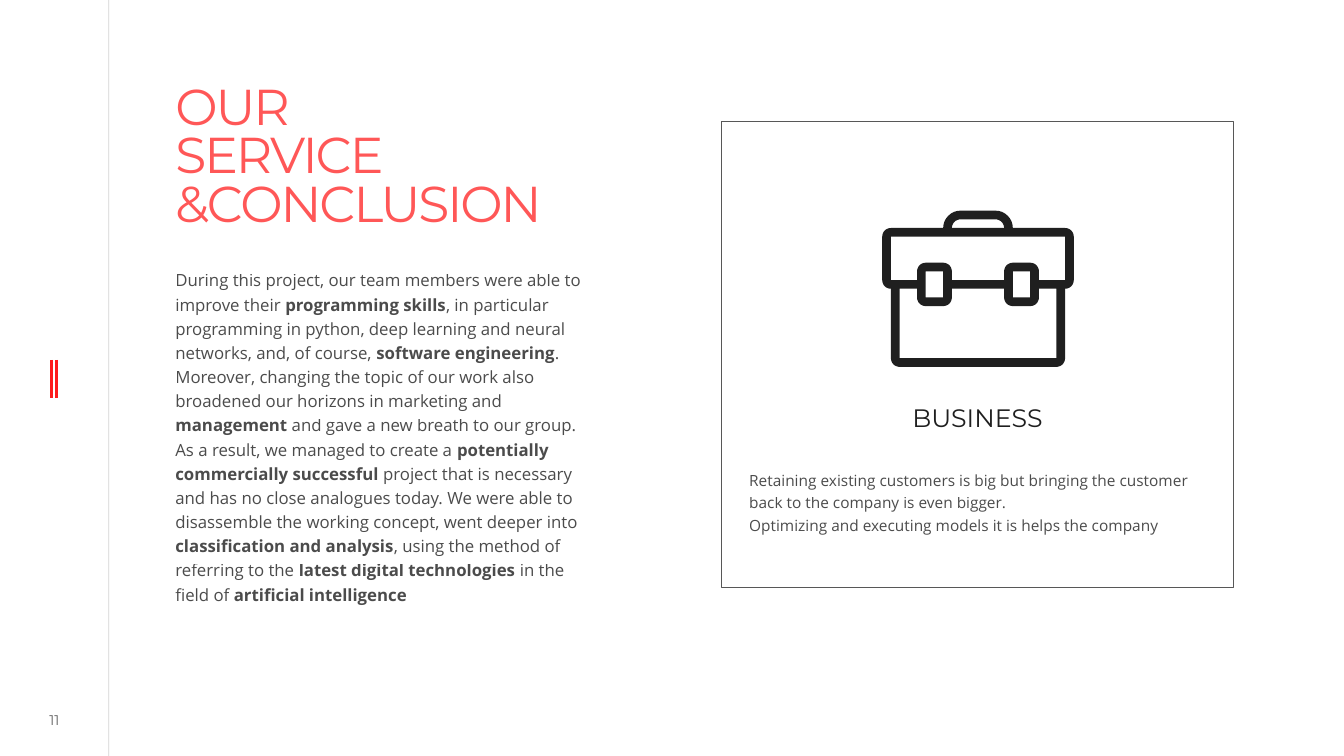
from dataclasses import dataclass
from math import cos, hypot, pi, sin
from typing import NamedTuple

from lxml.etree import SubElement
from pptx import Presentation
from pptx.dml.color import RGBColor
from pptx.enum.shapes import MSO_CONNECTOR, MSO_SHAPE
from pptx.enum.text import MSO_ANCHOR, PP_ALIGN
from pptx.oxml.ns import qn
from pptx.util import Inches, Pt


@dataclass(frozen=True)
class Theme:
    ink: str = "1F1F1F"
    coral: str = "FF5757"
    red: str = "FE1C1D"
    frame: str = "575757"
    head: str = "Montserrat"
    text: str = "Open Sans"
    title: int = 36
    label: int = 18
    body: int = 12
    small: int = 11
    page: int = 10
    hair: float = 0.5
    bar: int = 2


class Box(NamedTuple):
    x: float
    y: float
    w: float
    h: float

    def share(self, x, y, w, h):
        return Box(
            round(self.x + self.w * x / 100),
            round(self.y + self.h * y / 100),
            round(self.w * w / 100),
            round(self.h * h / 100),
        )


THEME = Theme()
TITLE = "OUR\vSERVICE &CONCLUSION"
STORY = [
    "During this project, our team members were able to improve their "
    "*programming skills*, in particular programming in python, deep learning "
    "and neural networks, and, of course, *software engineering*. Moreover, "
    "changing the topic of our work also broadened our horizons in marketing "
    "and *management* and gave a new breath to our group.",
    "As a result, we managed to create a *potentially commercially successful "
    "*project that is necessary and has no close analogues today. We were able "
    "to disassemble the working concept, went deeper into *classification and "
    "analysis*, using the method of referring to the *latest digital "
    "technologies *in the field of *artificial intelligence*",
]
PITCH = [
    "Retaining existing customers is big but bringing the customer back to "
    "the company is even bigger.",
    "Optimizing and executing models it is helps the company",
]
CASE = [
    [(7, 2), (7, 0, 2), (15, 0, 2), (15, 2), (22, 2, 1), (22, 9, 1), (21, 9),
     (21, 18, 1), (1, 18, 1), (1, 9), (0, 9, 1), (0, 2, 1)],
    [(8, 2), (8, 1, 1), (14, 1, 1), (14, 2)],
    [(1, 3), (21, 3), (21, 8), (18, 8), (18, 6, 1), (14, 6, 1), (14, 8),
     (8, 8), (8, 6, 1), (4, 6, 1), (4, 8), (1, 8)],
    [(2, 9), (4, 9), (4, 11, 1), (8, 11, 1), (8, 9), (14, 9), (14, 11, 1),
     (18, 11, 1), (18, 9), (20, 9), (20, 17), (2, 17)],
    [(5, 7), (7, 7), (7, 10), (5, 10)],
    [(15, 7), (17, 7), (17, 10), (15, 10)],
]


def paint(fill, color, alpha=100):
    fill.solid()
    fill.fore_color.rgb = RGBColor.from_string(color)
    if alpha < 100:
        tone = fill._xPr.find(qn("a:solidFill"))[0]
        SubElement(tone, qn("a:alpha"), val=str(alpha * 1000))


def write(slide, box, paras, font=THEME.text, size=THEME.body, color=THEME.ink,
          alpha=100, align=PP_ALIGN.LEFT, lead=1.0, track=0, top=0.05,
          base=0.05, anchor=MSO_ANCHOR.TOP):
    frame = slide.shapes.add_textbox(*box).text_frame
    frame.word_wrap = True
    frame.vertical_anchor = anchor
    frame.margin_left = frame.margin_right = 0
    frame.margin_top, frame.margin_bottom = Inches(top), Inches(base)
    for i, words in enumerate(paras):
        para = frame.add_paragraph() if i else frame.paragraphs[0]
        para.alignment, para.line_spacing = align, lead
        for j, row in enumerate(words.split("\v")):
            if j:
                para.add_line_break()
            for k, bit in enumerate(row.split("*")):
                if not bit:
                    continue
                run = para.add_run()
                run.text = bit
                run.font.name, run.font.size = font, Pt(size)
                run.font.bold = k % 2 == 1
                paint(run.font.fill, color, alpha)
                if track:
                    run.font._element.set("spc", str(round(track * 100)))


def rule(slide, box, color, width, alpha=100):
    line = slide.shapes.add_connector(
        MSO_CONNECTOR.STRAIGHT, box.x, box.y, box.x + box.w, box.y + box.h)
    line.line.width = Pt(width)
    paint(line.line.fill, color, alpha)
    SubElement(line._element.spPr, qn("a:effectLst"))


def trace(knots, steps=8):
    dots = []
    for i, (x, y, *bend) in enumerate(knots):
        if not bend:
            dots.append((x * 100, y * 100))
            continue
        r = bend[0]
        ways = []
        for near in (knots[i - 1], knots[(i + 1) % len(knots)]):
            dx, dy = near[0] - x, near[1] - y
            span = hypot(dx, dy)
            ways.append((dx / span, dy / span))
        (ax, ay), (bx, by) = ways
        for n in range(steps + 1):
            turn = n / steps * pi / 2
            a, b = r * (1 - sin(turn)), r * (1 - cos(turn))
            dots.append((round(100 * (x + a * ax + b * bx)),
                         round(100 * (y + a * ay + b * by))))
    return dots


def draw_case(slide, box):
    first, *rest = map(trace, CASE)
    pen = slide.shapes.build_freeform(
        *first[0], scale=(box.w / 2200, box.h / 1800))
    pen.add_line_segments(first[1:], close=True)
    for dots in rest:
        pen.move_to(*dots[0])
        pen.add_line_segments(dots[1:], close=True)
    case = pen.convert_to_shape(box.x, box.y)
    case.shadow.inherit = False
    paint(case.fill, THEME.ink)
    case.line.fill.background()


def draw_rail(slide, box):
    rule(slide, box.share(100, 0, 0, 100), THEME.ink, THEME.hair, 20)
    for x in (47.22, 51.85):
        rule(slide, box.share(x, 47.6, 0, 5.07), THEME.red, THEME.bar)
    write(slide, box.share(24.07, 93.6, 51.85, 3.33), ["11"], font=THEME.head,
          size=THEME.page, alpha=70, align=PP_ALIGN.CENTER, top=0, base=0,
          anchor=MSO_ANCHOR.MIDDLE)


def draw_story(slide, box):
    write(slide, box.share(0, 0, 100, 32.6), [TITLE], font=THEME.head,
          size=THEME.title, color=THEME.coral, lead=0.8, track=-1.5,
          top=0.21, base=0)
    write(slide, box.share(0, 35.73, 90.69, 64.27), STORY, alpha=80, lead=1.2)


def draw_card(slide, box):
    card = slide.shapes.add_shape(MSO_SHAPE.RECTANGLE, *box)
    card.shadow.inherit = False
    card.fill.background()
    card.line.width = Pt(THEME.hair)
    paint(card.line.fill, THEME.frame)
    draw_case(slide, box.share(31.5, 19.22, 37.4, 33.48))
    write(slide, box.share(5.71, 60.91, 88.78, 6.91), ["BUSINESS"],
          font=THEME.head, size=THEME.label, align=PP_ALIGN.CENTER, lead=0.7)
    write(slide, box.share(5.51, 73.22, 88.98, 16.2), PITCH, size=THEME.small,
          alpha=80, lead=1.2)


def main():
    deck = Presentation()
    deck.slide_width, deck.slide_height = Inches(13.33), Inches(7.5)
    slide = deck.slides.add_slide(deck.slide_layouts[6])
    page = Box(0, 0, deck.slide_width, deck.slide_height)
    draw_rail(slide, page.share(0, 0, 8.1, 100))
    draw_story(slide, page.share(13.05, 8.67, 34.66, 72.4))
    draw_card(slide, page.share(53.64, 16, 38.11, 61.73))
    deck.save("out.pptx")


if __name__ == "__main__":
    main()
